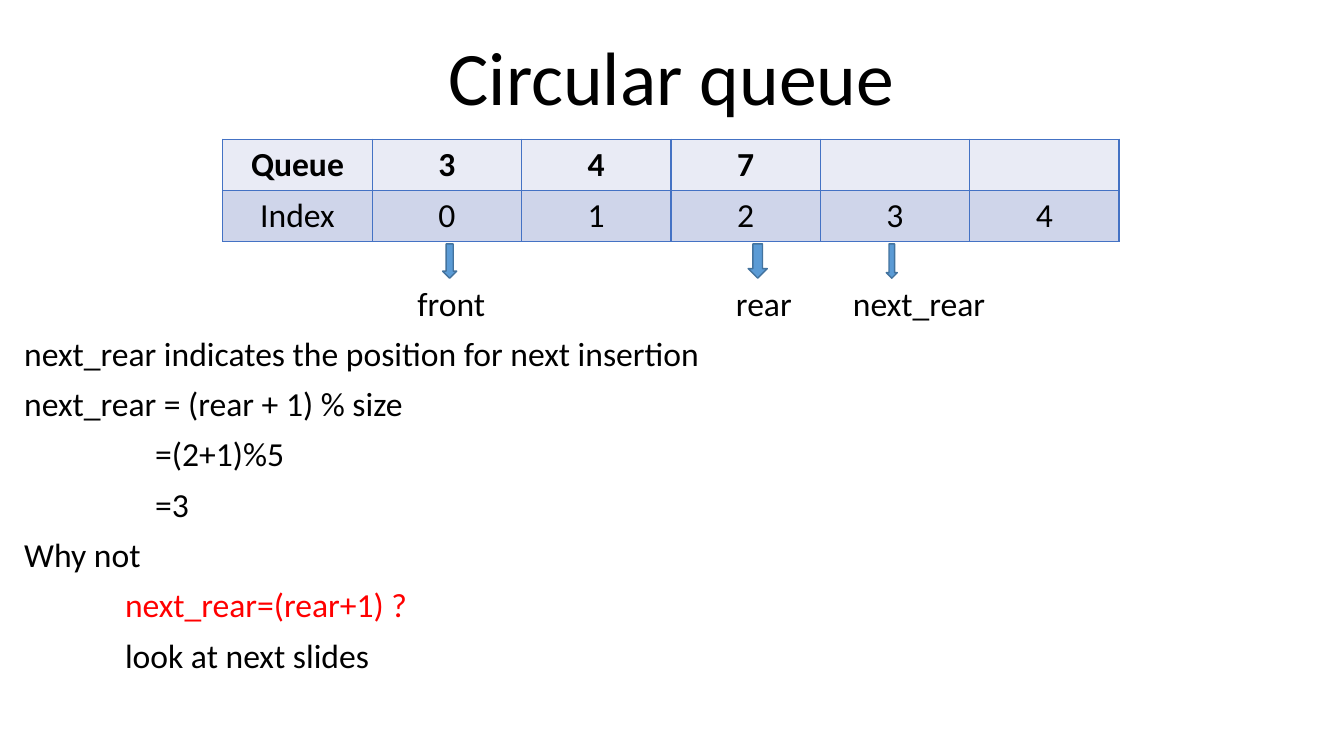
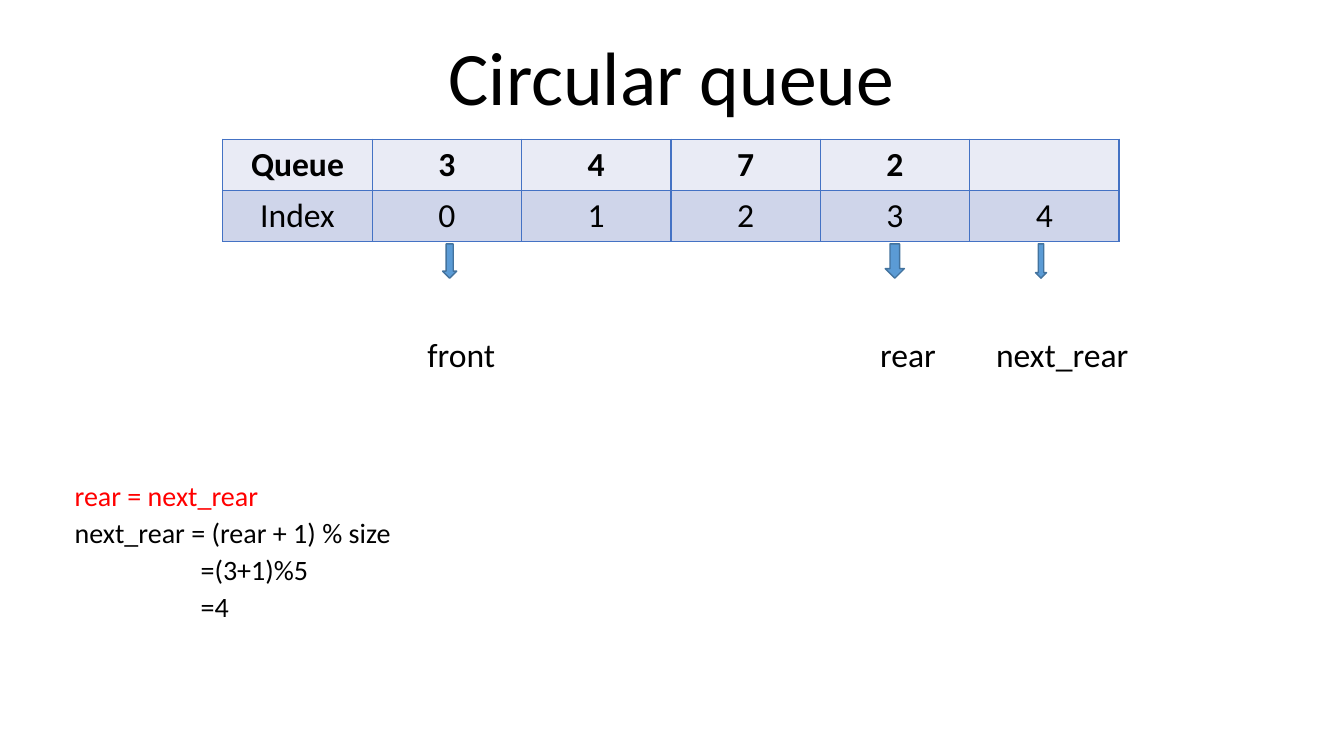
from lxml.etree import SubElement
from pptx import Presentation
from pptx.dml.color import RGBColor
from pptx.enum.shapes import MSO_SHAPE
from pptx.enum.text import MSO_ANCHOR, PP_ALIGN
from pptx.oxml.ns import qn
from pptx.util import Inches, Pt

FONT = "Calibri"
BLACK, RED = "000000", "FF0000"
BANDS = ("E9EBF5", "CFD5EA")
GRID, ARROW, EDGE = "4472C4", "5B9BD5", "43739E"
SIZE = 5
WIDTHS = {"front": 0.14, "rear": 0.19, "next_rear": 0.11}


def color(code):
    """Turn a hex string into a colour."""
    return RGBColor.from_string(code)


def write(para, text, size=24, code=BLACK, bold=False, align=PP_ALIGN.LEFT,
          line=1.0, before=0, indent=0):
    """Fill one paragraph with formatted text."""
    para.alignment = align
    para.line_spacing = line
    para.space_before = Pt(before)
    para._p.get_or_add_pPr().set("marL", str(Inches(indent)))
    run = para.add_run()
    run.text = text
    font = run.font
    font.name, font.size, font.bold = FONT, Pt(size), bold
    font.color.rgb = color(code)


def add_text(slide, box, lines, anchor=MSO_ANCHOR.TOP, **style):
    """Add a text box; each line is a text and its own format."""
    frame = slide.shapes.add_textbox(*map(Inches, box)).text_frame
    frame.word_wrap = True
    frame.vertical_anchor = anchor
    frame.margin_left = frame.margin_right = 0
    frame.margin_top = frame.margin_bottom = 0
    for pos, (text, extra) in enumerate(lines):
        para = frame.add_paragraph() if pos else frame.paragraphs[0]
        write(para, text, **{**style, **extra})


def add_border(cell):
    """Draw a thin line on all four sides of a cell."""
    props = cell._tc.get_or_add_tcPr()
    for pos, side in enumerate(("lnL", "lnR", "lnT", "lnB")):
        edge = props.makeelement(qn("a:" + side), {"w": str(Pt(1))})
        props.insert(pos, edge)
        fill = SubElement(edge, qn("a:solidFill"))
        SubElement(fill, qn("a:srgbClr"), val=GRID)


def add_queue(slide, items):
    """Add the table of queue items and their indexes."""
    rows = (["Queue"] + items + [""] * (SIZE - len(items)),
            ["Index"] + [str(num) for num in range(SIZE)])
    box = map(Inches, (2.21, 1.38, 8.89, 1.02))
    table = slide.shapes.add_table(len(rows), SIZE + 1, *box).table
    table.first_row = table.horz_banding = False
    for top, (row, band) in enumerate(zip(rows, BANDS)):
        for left, text in enumerate(row):
            cell = table.cell(top, left)
            cell.fill.solid()
            cell.fill.fore_color.rgb = color(band)
            add_border(cell)
            if text:
                write(cell.text_frame.paragraphs[0], text, bold=top == 0,
                      align=PP_ALIGN.CENTER)


def add_mark(slide, name, left, label, top):
    """Add a down arrow below the table and its label."""
    box = map(Inches, (left, 2.42, WIDTHS[name], 0.34))
    shape = slide.shapes.add_shape(MSO_SHAPE.DOWN_ARROW, *box)
    shape.shadow.inherit = False
    shape.fill.solid()
    shape.fill.fore_color.rgb = color(ARROW)
    shape.line.color.rgb = color(EDGE)
    shape.line.width = Pt(1)
    add_text(slide, (label, top, 1.5, 0.41), [(name, {})])


def add_slide(deck, items, marks, top, box, lines, **style):
    """Add one step of the queue with its marks and formulas."""
    slide = deck.slides.add_slide(deck.slide_layouts[6])
    add_text(slide, (1.66, 0.27, 10, 0.94), [("Circular queue", {})],
             anchor=MSO_ANCHOR.BOTTOM, size=54, align=PP_ALIGN.CENTER,
             line=0.9)
    add_text(slide, box, lines, anchor=MSO_ANCHOR.BOTTOM, line=0.9, **style)
    add_queue(slide, items)
    for name, (left, label) in zip(WIDTHS, marks):
        add_mark(slide, name, left, label, top)


def main():
    """Build and save the deck."""
    deck = Presentation()
    deck.slide_width, deck.slide_height = Inches(13.33), Inches(7.5)
    rule = ("next_rear = (rear + 1) % size", {})
    add_slide(
        deck, ["3", "4", "7"],
        [(4.39, 4.14), (7.42, 7.3), (8.79, 8.46)], 2.81,
        (0.24, 3.3, 12.8, 3.4),
        [("next_rear indicates the position for next insertion", {}),
         rule,
         ("=(2+1)%5", {"indent": 1.3}),
         ("=3", {"indent": 1.3}),
         ("Why not", {}),
         ("next_rear=(rear+1) ?", {"indent": 1, "code": RED}),
         ("look at next slides", {"indent": 1})],
        before=10)
    add_slide(
        deck, ["3", "4", "7", "2"],
        [(4.39, 4.24), (8.78, 8.73), (10.27, 9.88)], 3.31,
        (0.74, 4.7, 12.3, 1.49),
        [("rear = next_rear", {"code": RED}),
         rule,
         ("=(3+1)%5", {"indent": 1.25}),
         ("=4", {"indent": 1.25})],
        size=20, before=5)
    deck.save("out.pptx")


main()
